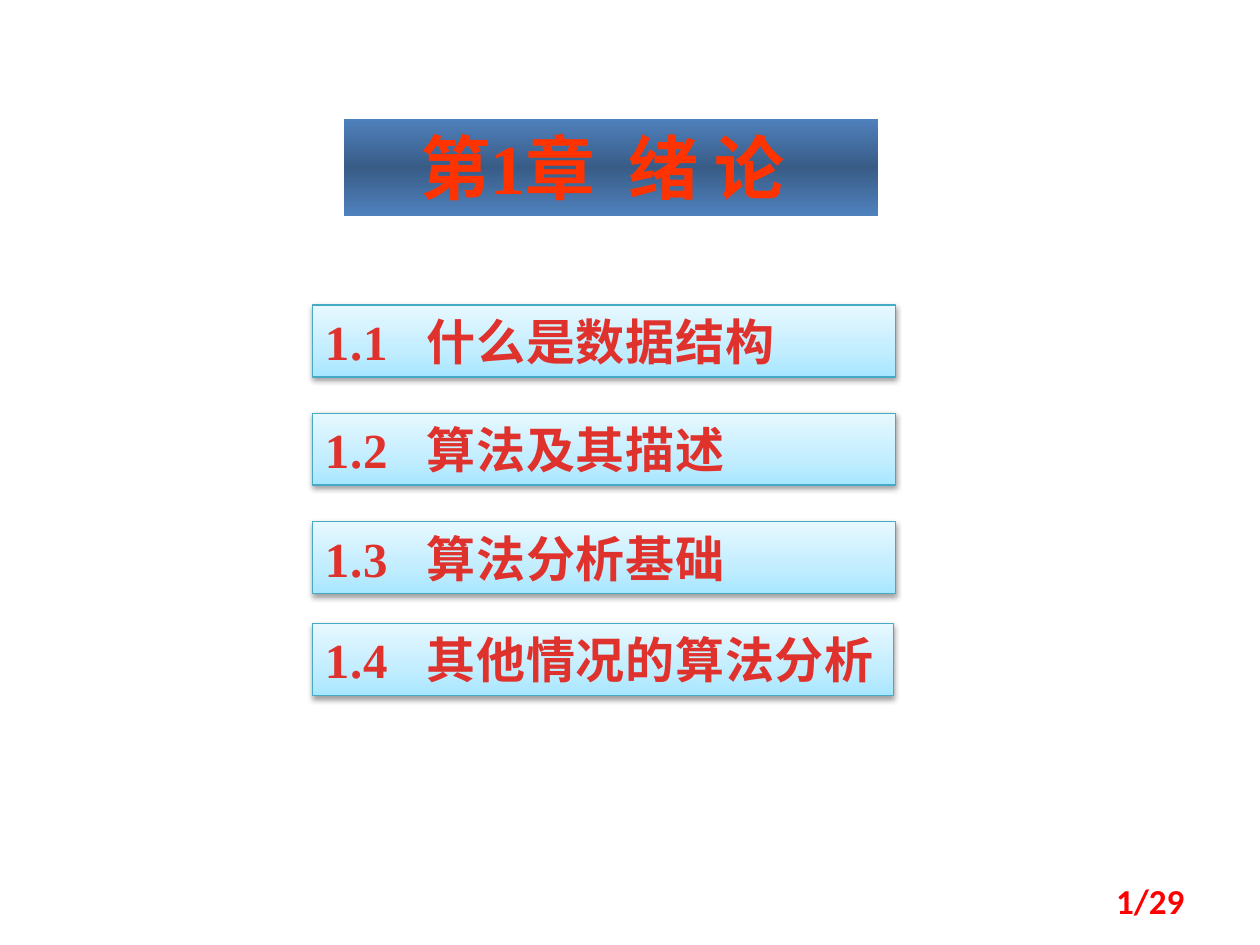
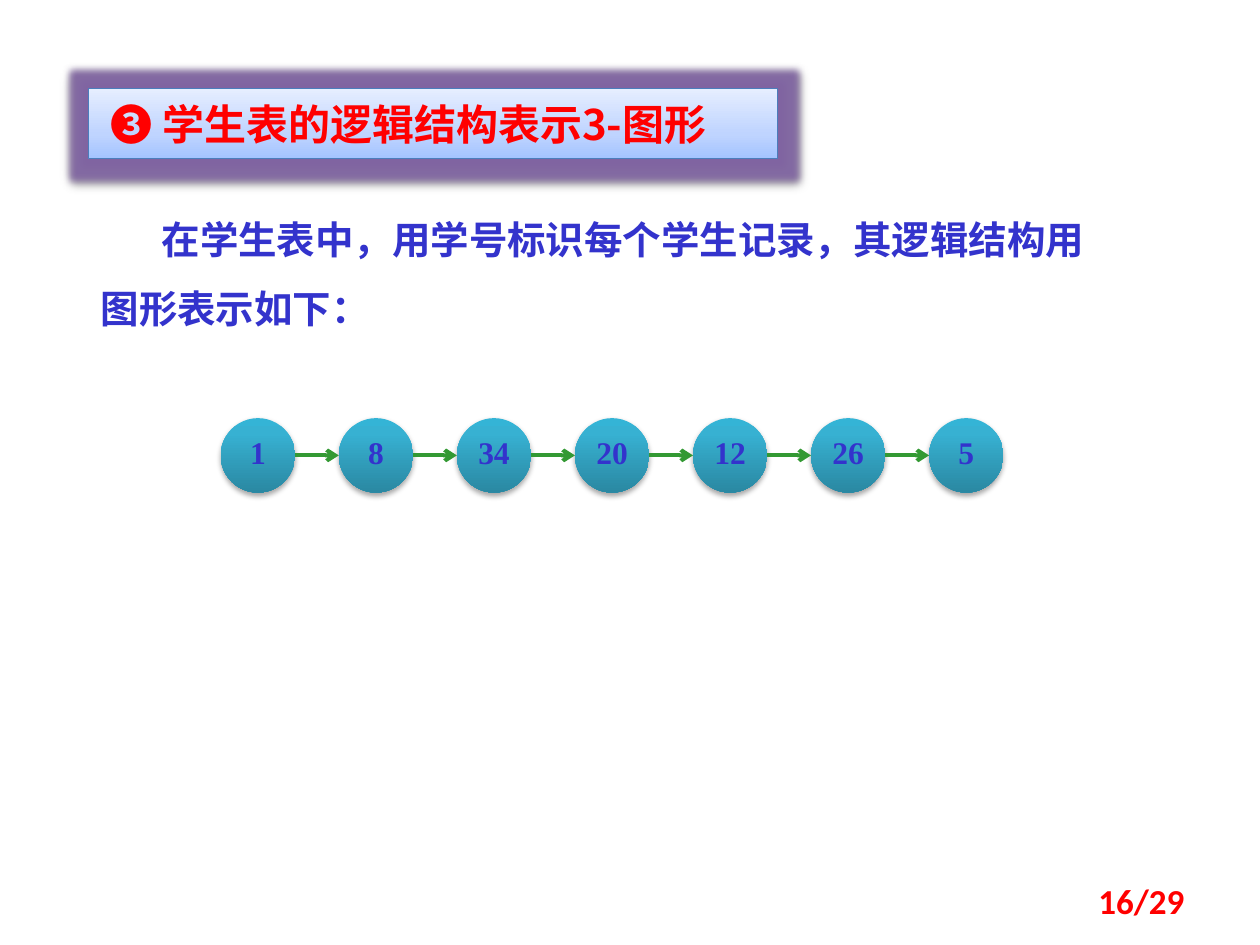
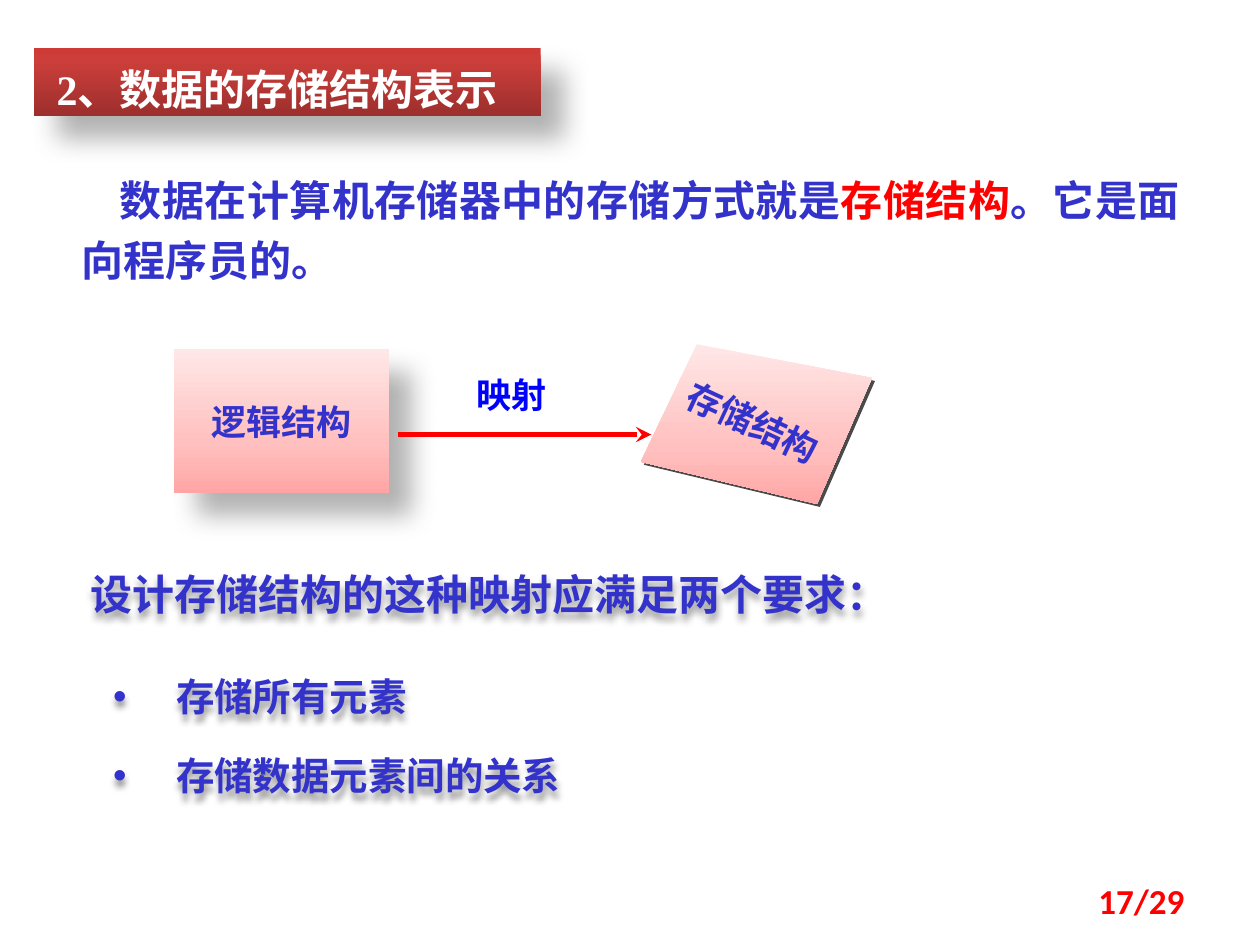
from dataclasses import dataclass
from typing import Optional, Union

from lxml.etree import SubElement
from pptx import Presentation
from pptx.dml.color import RGBColor
from pptx.enum.shapes import MSO_CONNECTOR, MSO_SHAPE
from pptx.enum.text import MSO_ANCHOR, MSO_AUTO_SIZE, PP_ALIGN
from pptx.oxml.ns import qn
from pptx.util import Cm, Pt

Stops = tuple[tuple[int, str], ...]


@dataclass(frozen=True)
class Theme:
    """Colours, gradients, fonts and type sizes of the deck."""
    sans: str = "Noto Sans CJK SC"
    serif: str = "Times New Roman"
    number_font: str = "Calibri"
    ink: str = "3333CC"
    red: str = "FF0000"
    chapter_red: str = "FF3300"
    section_red: str = "E0322D"
    white: str = "FFFFFF"
    label_blue: str = "0000FF"
    green: str = "339933"
    glow: str = "8064A2"
    black: str = "000000"
    edge: str = "4A4A4A"
    section_line: str = "46AAC5"
    heading_line: str = "4B7EBC"
    chapter_fill: Stops = ((0, "4F81BD"), (50, "395C87"), (100, "4F81BD"))
    section_fill: Stops = ((0, "E7F8FF"), (65, "C1EDFF"), (100, "A7E6FF"))
    node_fill: Stops = ((0, "34B4D6"), (20, "37B1D2"), (100, "2A88A2"))
    heading_fill: Stops = ((0, "E6EEFF"), (65, "BFD4FF"), (100, "A4C4FF"))
    banner_fill: Stops = ((0, "CE3B37"), (20, "CB3E3A"), (100, "9C2F2D"))
    pink_fill: Stops = ((0, "FFE7E7"), (65, "FFC0BF"), (100, "FFA6A5"))
    chapter_size: int = 40
    section_size: int = 28
    heading_size: int = 24
    body_size: int = 22
    label_size: int = 20
    node_size: int = 18


THEME = Theme()


@dataclass(frozen=True)
class Box:
    """A rectangle in centimetres."""
    left: float
    top: float
    width: float
    height: float

    def lengths(self) -> tuple[Cm, Cm, Cm, Cm]:
        """Return the four sides as lengths."""
        return Cm(self.left), Cm(self.top), Cm(self.width), Cm(self.height)


@dataclass(frozen=True)
class Span:
    """A stretch of bold text in one style."""
    text: str
    size: int
    color: str = THEME.ink
    font: str = THEME.sans
    spacing: float = 0


@dataclass(frozen=True)
class Para:
    """A paragraph; margins are in centimetres."""
    spans: tuple[Span, ...]
    align: PP_ALIGN = PP_ALIGN.LEFT
    line: Union[float, Pt, None] = None
    half_before: bool = False
    margin: float = 0
    first: float = 0
    bullet: str = ""


@dataclass(frozen=True)
class Frame:
    """Insets in centimetres and the fitting of a text frame."""
    left: float = 0.25
    top: float = 0.13
    right: float = 0.25
    bottom: float = 0.13
    anchor: MSO_ANCHOR = MSO_ANCHOR.TOP
    wrap: bool = True
    grow: bool = True


@dataclass(frozen=True)
class Shadow:
    """An outer shadow: points, degrees and percent."""
    blur: float
    distance: float
    angle: int
    opacity: int


@dataclass(frozen=True)
class Look:
    """The surface of a shape."""
    stops: Stops
    line: Optional[str] = None
    shadow: Optional[Shadow] = None
    glow: float = 0


SOFT = Shadow(3.1, 1.6, 90, 38)
NODE_SHADOW = Shadow(3.1, 1.8, 90, 35)
DEEP = Shadow(15, 18, 45, 30)
TEXT_SHADOW = Shadow(4, 3, 90, 40)
MIDDLE = Frame(anchor=MSO_ANCHOR.MIDDLE, wrap=False, grow=False)


def add_effect_color(effect, color: str, opacity: int) -> None:
    """Give an effect a partly transparent colour."""
    node = SubElement(effect, qn("a:srgbClr"), val=color)
    SubElement(node, qn("a:alpha"), val=str(opacity * 1000))


def set_effects(shape, shadow: Optional[Shadow], glow: float = 0) -> None:
    """Replace the inherited effects of a shape."""
    shape.shadow.inherit = False
    effects = shape._element.spPr.find(qn("a:effectLst"))
    if glow:
        halo = SubElement(effects, qn("a:glow"), rad=str(Pt(glow)))
        add_effect_color(halo, THEME.glow, 90)
    if shadow:
        outer = SubElement(effects, qn("a:outerShdw"), blurRad=str(Pt(shadow.blur)),
                           dist=str(Pt(shadow.distance)), dir=str(shadow.angle * 60000),
                           algn="tl", rotWithShape="0")
        add_effect_color(outer, THEME.black, shadow.opacity)


def set_look(shape, look: Look) -> None:
    """Paint a shape with a top-down gradient, line and effects."""
    shape.fill.gradient()
    shape.fill.gradient_angle = 270
    stop_list = shape._element.spPr.find(qn("a:gradFill")).find(qn("a:gsLst"))
    stop_list[:] = []
    for position, color in look.stops:
        stop = SubElement(stop_list, qn("a:gs"), pos=str(position * 1000))
        SubElement(stop, qn("a:srgbClr"), val=color)
    if look.line:
        shape.line.color.rgb = RGBColor.from_string(look.line)
        shape.line.width = Pt(0.75)
    else:
        shape.line.fill.background()
    set_effects(shape, look.shadow, look.glow)


def write_span(paragraph, span: Span) -> None:
    """Add one run to a paragraph."""
    run = paragraph.add_run()
    run.text = span.text
    run.font.size = Pt(span.size)
    run.font.bold = True
    run.font.name = span.font
    run.font.color.rgb = RGBColor.from_string(span.color)
    properties = run.font._element
    SubElement(properties, qn("a:ea"), typeface=THEME.sans)
    if span.spacing:
        properties.set("spc", str(int(span.spacing * 100)))


def write_para(paragraph, para: Para) -> None:
    """Format a paragraph and add its runs."""
    paragraph.alignment = para.align
    if para.line:
        paragraph.line_spacing = para.line
    properties = paragraph._p.get_or_add_pPr()
    properties.set("marL", str(Cm(para.margin)))
    properties.set("indent", str(Cm(para.first)))
    if para.half_before:
        paragraph.space_before = Pt(0)
        before = properties.find(qn("a:spcBef"))
        before[:] = []
        SubElement(before, qn("a:spcPct"), val="50000")
    if para.bullet:
        SubElement(properties, qn("a:buFont"), typeface="Arial")
        SubElement(properties, qn("a:buChar"), char=para.bullet)
    for span in para.spans:
        write_span(paragraph, span)


def write_text(shape, paras: tuple[Para, ...], frame: Frame) -> None:
    """Fill the text frame of a shape."""
    text = shape.text_frame
    text.word_wrap = frame.wrap
    text.auto_size = MSO_AUTO_SIZE.SHAPE_TO_FIT_TEXT if frame.grow else MSO_AUTO_SIZE.NONE
    text.vertical_anchor = frame.anchor
    text.margin_left, text.margin_top = Cm(frame.left), Cm(frame.top)
    text.margin_right, text.margin_bottom = Cm(frame.right), Cm(frame.bottom)
    for index, para in enumerate(paras):
        write_para(text.add_paragraph() if index else text.paragraphs[0], para)


def draw_shape(page, box: Box, look: Look, para: Para, frame: Frame = Frame(),
               kind: MSO_SHAPE = MSO_SHAPE.RECTANGLE) -> None:
    """Draw a painted preset shape with text."""
    shape = page.shapes.add_shape(kind, *box.lengths())
    set_look(shape, look)
    write_text(shape, (para,), frame)


def draw_text(page, box: Box, *paras: Para, frame: Frame = Frame(),
              shadow: Optional[Shadow] = None, rotation: float = 0) -> None:
    """Draw a text box."""
    shape = page.shapes.add_textbox(*box.lengths())
    shape.rotation = rotation
    if shadow:
        set_effects(shape, shadow)
    write_text(shape, paras, frame)


def draw_arrow(page, start: float, end: float, height: float, color: str,
               weight: float, head: str) -> None:
    """Draw a level arrow pointing right."""
    arrow = page.shapes.add_connector(MSO_CONNECTOR.STRAIGHT, Cm(start), Cm(height),
                                      Cm(end), Cm(height))
    arrow.line.color.rgb = RGBColor.from_string(color)
    arrow.line.width = Pt(weight)
    properties = arrow._element.spPr
    SubElement(properties.find(qn("a:ln")), qn("a:tailEnd"), type=head)
    SubElement(properties, qn("a:effectLst"))


def draw_tilted_card(page, corners: tuple[tuple[float, float], ...], depth: float) -> None:
    """Draw a tilted pink card on its dark edge."""
    for offset in (depth, 0):
        points = [(Cm(x + offset), Cm(y + offset)) for x, y in corners]
        builder = page.shapes.build_freeform(*points[0], scale=1.0)
        builder.add_line_segments(points[1:], close=True)
        card = builder.convert_to_shape()
        set_look(card, Look(THEME.pink_fill))
        if offset:
            card.fill.solid()
            card.fill.fore_color.rgb = RGBColor.from_string(THEME.edge)


def add_page(deck, number: int):
    """Add a blank page with its page number."""
    page = deck.slides.add_slide(deck.slide_layouts[6])
    span = Span(f"{number}/29", THEME.label_size, THEME.red, THEME.number_font)
    draw_text(page, Box(18.21, 17.65, 5.92, 1.02), Para((span,), PP_ALIGN.RIGHT),
              frame=Frame(anchor=MSO_ANCHOR.MIDDLE, grow=False))
    return page


def build_chapter(deck) -> None:
    """Build the chapter page."""
    page = add_page(deck, 1)
    title = tuple(Span(text, THEME.chapter_size, THEME.chapter_red, THEME.serif, spacing)
                  for text, spacing in (("第1章", 0), (" ", 10), ("绪 论", 0)))
    draw_shape(page, Box(6.93, 2.39, 10.77, 1.96), Look(THEME.chapter_fill),
               Para(title, PP_ALIGN.CENTER), Frame(right=0.6))
    sections = (
        (6.15, 11.76, "什么是数据结构"),
        (8.33, 11.76, "算法及其描述"),
        (10.52, 11.76, "算法分析基础"),
        (12.57, 11.71, "其他情况的算法分析"),
    )
    for index, (top, width, name) in enumerate(sections, 1):
        span = Span(f"1.{index}\t{name}", THEME.section_size, THEME.section_red,
                    THEME.serif, 0.5)
        draw_shape(page, Box(6.3, top, width, 1.45),
                   Look(THEME.section_fill, THEME.section_line, SOFT),
                   Para((span,), margin=2.05, first=-2.05))


def build_logic(deck) -> None:
    """Build the page on the logical structure."""
    page = add_page(deck, 16)
    body = Span("在学生表中，用学号标识每个学生记录，其逻辑结构用图形表示如下：",
                THEME.body_size, font=THEME.serif)
    draw_text(page, Box(1.78, 3.76, 20.65, 3.07),
              Para((body,), line=1.5, half_before=True, first=1.23))
    records = ("1", "8", "34", "20", "12", "26", "5")
    first, pitch, size, top = 4.45, 2.38, 1.5, 8.43
    for index, record in enumerate(records):
        left = first + index * pitch
        span = Span(record, THEME.node_size, font=THEME.serif)
        draw_shape(page, Box(left, top, size, size),
                   Look(THEME.node_fill, shadow=NODE_SHADOW),
                   Para((span,), PP_ALIGN.CENTER, 0.8, True),
                   Frame(0, 0.13, 0, 0.13, MSO_ANCHOR.MIDDLE, grow=False), MSO_SHAPE.OVAL)
    for index in range(len(records) - 1):
        left = first + index * pitch
        draw_arrow(page, left + size, left + pitch, top + size / 2, THEME.green, 2.25, "arrow")
    heading = Span("❸ 学生表的逻辑结构表示3-图形", THEME.heading_size, THEME.red)
    draw_shape(page, Box(1.78, 1.78, 13.89, 1.42),
               Look(THEME.heading_fill, THEME.heading_line, SOFT, 8),
               Para((heading,), half_before=True), Frame(0.45, 0.2, 0.25, 0.2))


def build_storage(deck) -> None:
    """Build the page on the storage structure."""
    page = add_page(deck, 17)
    banner = Span("2、数据的存储结构表示", THEME.heading_size, THEME.white, THEME.serif)
    draw_shape(page, Box(0.69, 0.97, 10.21, 1.37), Look(THEME.banner_fill, shadow=DEEP),
               Para((banner,), PP_ALIGN.JUSTIFY, 1.1, True), Frame(0.45, 0.2))
    body = tuple(Span(text, THEME.heading_size, color) for text, color in (
        ("数据在计算机存储器中的存储方式就是", THEME.ink),
        ("存储结构", THEME.red),
        ("。它是面向程序员的。", THEME.ink),
    ))
    draw_text(page, Box(1.4, 3.18, 22.63, 2.72),
              Para(body, PP_ALIGN.JUSTIFY, 1.2, True, first=0.77))
    logic, storage = (Para((Span(name, THEME.label_size),), PP_ALIGN.CENTER)
                      for name in ("逻辑结构", "存储结构"))
    draw_shape(page, Box(3.51, 7.04, 4.34, 2.9), Look(THEME.pink_fill, shadow=DEEP),
               logic, MIDDLE)
    draw_tilted_card(page, ((14.05, 6.94), (17.58, 7.62), (16.47, 10.16), (12.92, 9.31)), 0.06)
    draw_text(page, Box(13.38, 7.96, 3.6, 1.1), storage, frame=MIDDLE, rotation=25)
    draw_arrow(page, 8.03, 13.13, 8.76, THEME.red, 3, "stealth")
    draw_text(page, Box(9.35, 7.39, 2.26, 1.12),
              Para((Span("映射", THEME.label_size, THEME.label_blue),), half_before=True))
    demand = Span("设计存储结构的这种映射应满足两个要求：", THEME.heading_size)
    draw_text(page, Box(1.57, 11.13, 17.07, 1.7), Para((demand,), half_before=True),
              frame=Frame(top=0.33, bottom=0.33), shadow=TEXT_SHADOW)
    points = (Para((Span(text, THEME.body_size),), line=Pt(34), half_before=True,
                   margin=1.27, first=-1.27, bullet="•")
              for text in ("存储所有元素", "存储数据元素间的关系"))
    draw_text(page, Box(2.03, 13.18, 15.27, 2.97), *points, shadow=TEXT_SHADOW)


def main() -> None:
    """Build and save the deck."""
    deck = Presentation()
    deck.slide_width, deck.slide_height = Cm(25.4), Cm(19.05)
    for build in (build_chapter, build_logic, build_storage):
        build(deck)
    deck.save("out.pptx")


if __name__ == "__main__":
    main()
